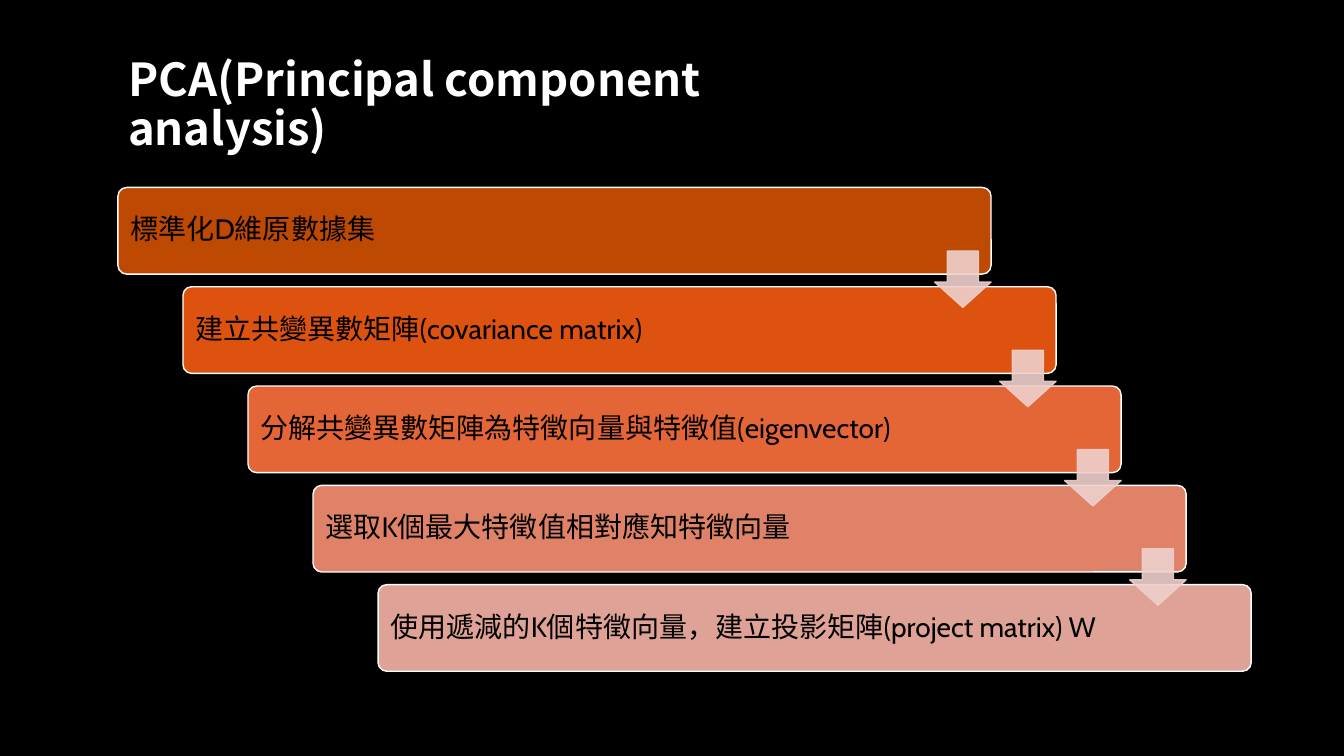
import pptx
import pptx.dml.color
import pptx.enum.shapes
import pptx.enum.text
import pptx.oxml
import pptx.oxml.ns
import pptx.util

Inches = pptx.util.Inches
Pt = pptx.util.Pt
RGBColor = pptx.dml.color.RGBColor
Shape = pptx.enum.shapes.MSO_SHAPE
Anchor = pptx.enum.text.MSO_ANCHOR
Align = pptx.enum.text.PP_ALIGN

BLACK = RGBColor(0x00, 0x00, 0x00)
WHITE = RGBColor(0xFF, 0xFF, 0xFF)
ARROW_PINK = RGBColor(0xEE, 0xD0, 0xCC)
TITLE_FONT = "Noto Sans CJK SC"
STEP_FONT = "Cabin"

STEPS = [
    ("標準化D維原數據集", RGBColor(0xBD, 0x49, 0x02)),
    ("建立共變異數矩陣(covariance matrix)", RGBColor(0xDD, 0x52, 0x0F)),
    ("分解共變異數矩陣為特徵向量與特徵值(eigenvector)", RGBColor(0xE4, 0x65, 0x36)),
    ("選取K個最大特徵值相對應知特徵向量", RGBColor(0xDF, 0x82, 0x68)),
    ("使用遞減的K個特徵向量，建立投影矩陣(project matrix) W", RGBColor(0xDF, 0xA2, 0x96)),
]


def write_text(frame, text, font_name, size, color, bold, anchor):
    frame.text = text
    frame.word_wrap = True
    frame.auto_size = pptx.enum.text.MSO_AUTO_SIZE.NONE
    frame.vertical_anchor = anchor
    para = frame.paragraphs[0]
    para.alignment = Align.LEFT
    para.line_spacing = 0.9
    span = para.runs[0]
    span.font.name = font_name
    span.font.size = Pt(size)
    span.font.bold = bold
    span.font.color.rgb = color


def set_opacity(color_format_owner, percent):
    for color in color_format_owner.iter(pptx.oxml.ns.qn("a:srgbClr")):
        alpha = pptx.oxml.parse_xml(
            f'<a:alpha {pptx.oxml.ns.nsdecls("a")} val="{percent * 1000}"/>'
        )
        color.append(alpha)


def add_title(page, left, top, width, height):
    title = page.shapes.title
    title.left, title.top = Inches(left), Inches(top)
    title.width, title.height = Inches(width), Inches(height)
    write_text(title.text_frame, "PCA(Principal component analysis)",
               TITLE_FONT, 32.4, WHITE, True, Anchor.BOTTOM)


def add_step(page, left, top, width, height, text, fill):
    bar = page.shapes.add_shape(Shape.ROUNDED_RECTANGLE, Inches(left), Inches(top),
                                Inches(width), Inches(height))
    bar.adjustments[0] = 0.1
    bar.shadow.inherit = False
    bar.fill.solid()
    bar.fill.fore_color.rgb = fill
    bar.line.color.rgb = WHITE
    bar.line.width = Pt(1)
    write_text(bar.text_frame, text, STEP_FONT, 20, BLACK, False, Anchor.MIDDLE)


def add_arrow(page, left, top, size):
    arrow = page.shapes.add_shape(Shape.DOWN_ARROW, Inches(left), Inches(top),
                                  Inches(size), Inches(size))
    arrow.adjustments[0] = 0.55
    arrow.adjustments[1] = 0.45
    arrow.shadow.inherit = False
    arrow.fill.solid()
    arrow.fill.fore_color.rgb = ARROW_PINK
    arrow.line.color.rgb = ARROW_PINK
    arrow.line.width = Pt(1)
    set_opacity(arrow.element.spPr, 90)


def add_staircase(page, left, top, width, height):
    bar_width, bar_height, arrow_size = 8.66, 0.86, 0.56
    gaps = len(STEPS) - 1
    step_x = (width - bar_width) / gaps
    step_y = (height - bar_height) / gaps
    for index, (text, fill) in enumerate(STEPS):
        add_step(page, left + index * step_x, top + index * step_y,
                 bar_width, bar_height, text, fill)
    for index in range(gaps):
        add_arrow(page, left + index * step_x + bar_width - arrow_size,
                  top + index * step_y + 0.63, arrow_size)


def main():
    deck = pptx.Presentation()
    deck.slide_width, deck.slide_height = Inches(13.33), Inches(7.5)
    page = deck.slides.add_slide(deck.slide_layouts[5])
    page.background.fill.solid()
    page.background.fill.fore_color.rgb = BLACK
    add_title(page, 1.17, 0.92, 7.86, 0.67)
    add_staircase(page, 1.17, 1.86, 11.24, 4.8)
    deck.save("out.pptx")


if __name__ == "__main__":
    main()
